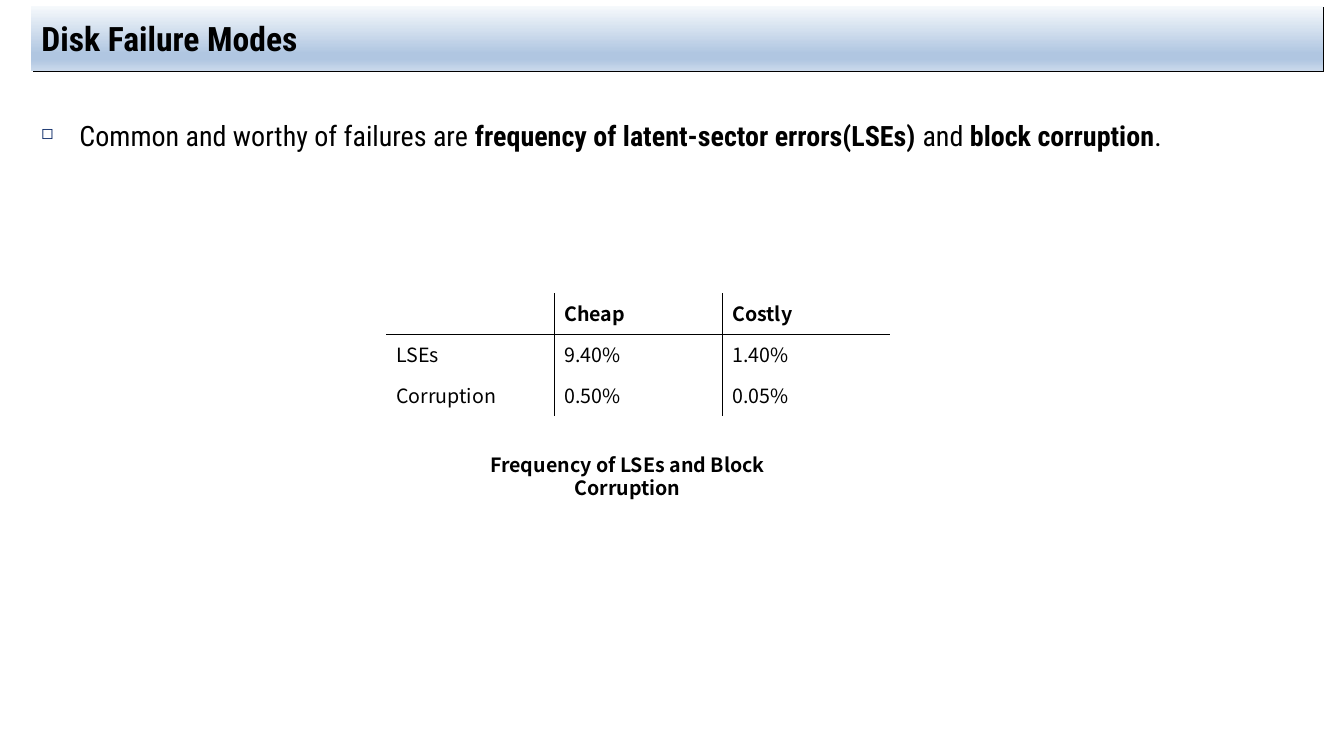
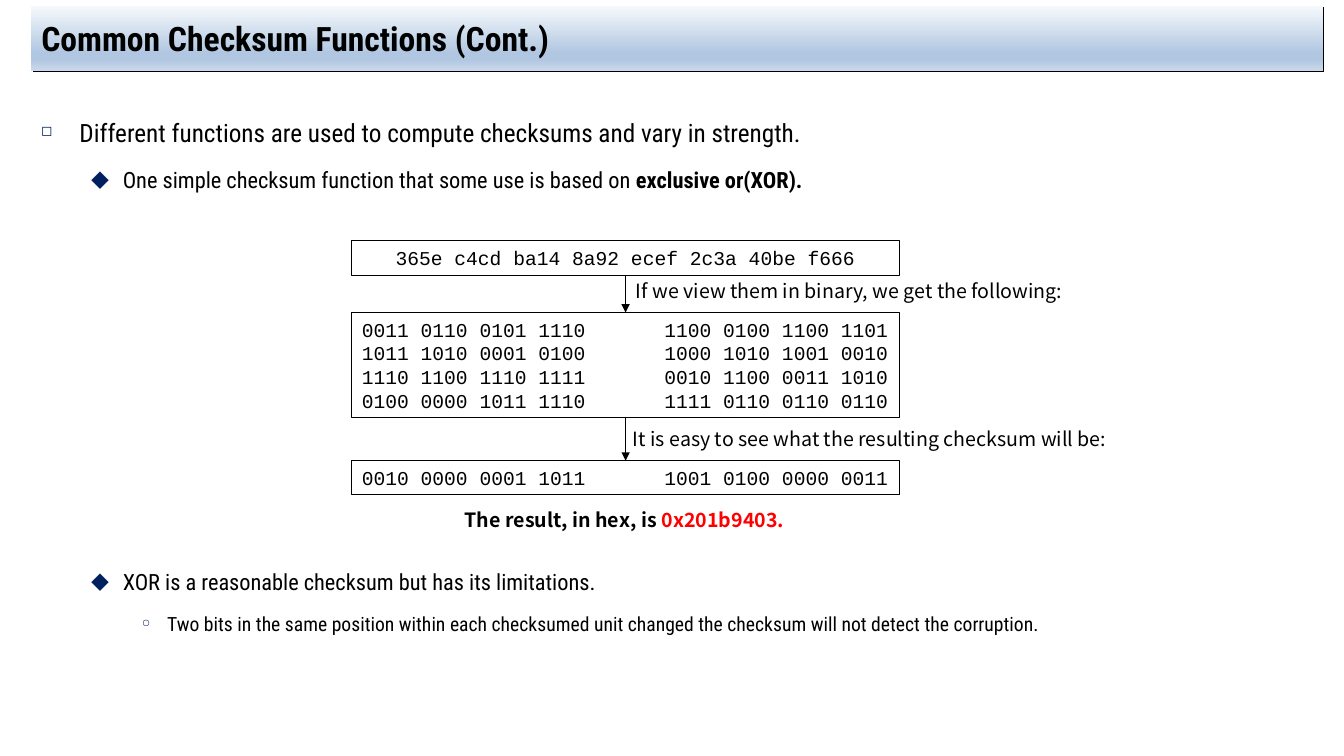
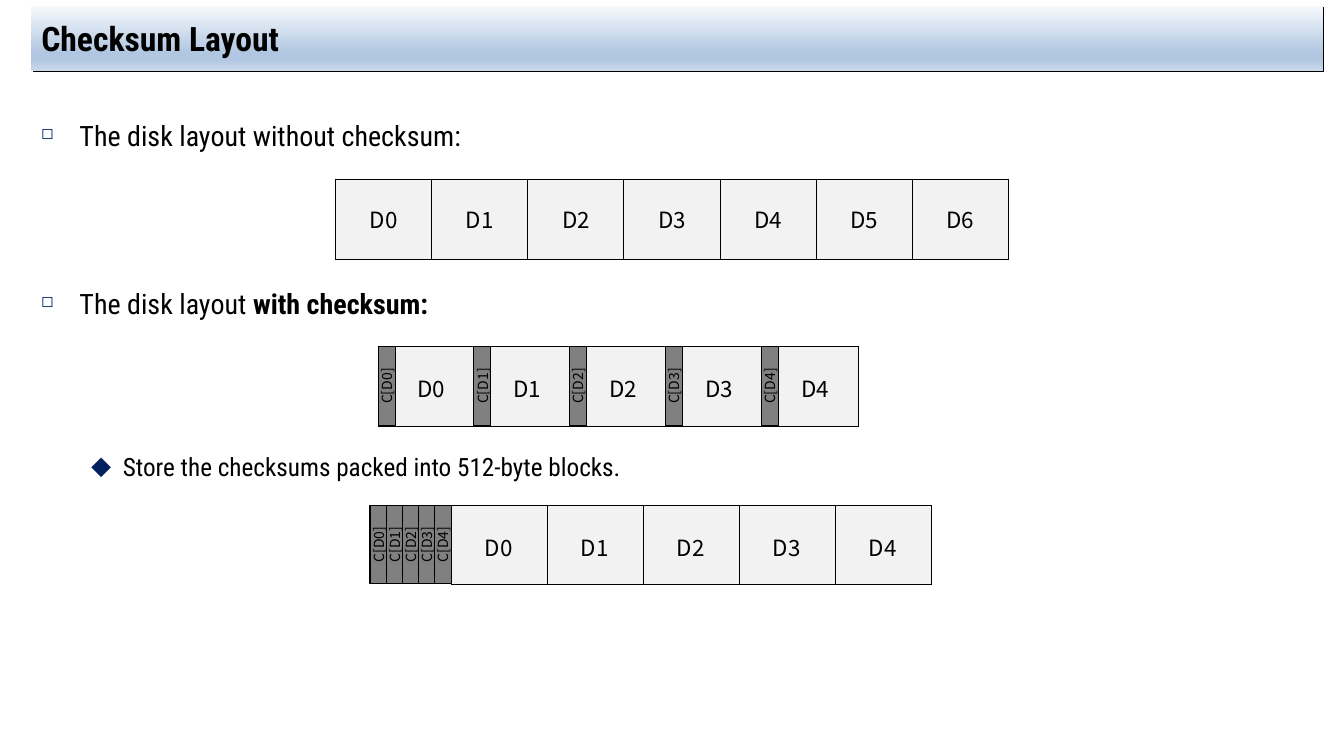
from dataclasses import dataclass, replace

from lxml import etree
from pptx import Presentation
from pptx.dml.color import RGBColor
from pptx.enum.shapes import MSO_CONNECTOR, MSO_SHAPE
from pptx.enum.text import MSO_ANCHOR, MSO_AUTO_SIZE, PP_ALIGN
from pptx.oxml.ns import qn
from pptx.util import Inches, Pt

RECTANGLE = MSO_SHAPE.RECTANGLE
STRAIGHT = MSO_CONNECTOR.STRAIGHT
TOP, MIDDLE = MSO_ANCHOR.TOP, MSO_ANCHOR.MIDDLE
LEFT, CENTER = PP_ALIGN.LEFT, PP_ALIGN.CENTER
FIXED_SIZE = MSO_AUTO_SIZE.NONE
TITLE_ONLY = 5
SITE_TOP, SITE_BOTTOM = 0, 2


@dataclass(frozen=True)
class Box:
    left: float
    top: float
    width: float
    height: float

    def lengths(self):
        return [Inches(value) for value in (self.left, self.top, self.width, self.height)]


@dataclass(frozen=True)
class TextStyle:
    name: str
    size: float
    color: str = "000000"
    bold: bool = False


@dataclass(frozen=True)
class Level:
    indent: float
    hanging: float
    bullet: str
    bullet_percent: int
    bullet_font: str = ""


@dataclass(frozen=True)
class Theme:
    line: str = "000000"
    bullet: str = "002060"
    block: str = "F2F2F2"
    checksum: str = "808080"
    title_stops: tuple = ((0, "F6F9FC"), (74, "B0C6E1"), (83, "B0C6E1"), (100, "CAD9EB"))
    thin: float = 0.75
    arrow: float = 1
    shadow_distance: float = 1.4
    line_spacing: float = 1.5
    space_ratio: float = 0.24
    title: TextStyle = TextStyle("Roboto Condensed", 24, bold=True)
    body: TextStyle = TextStyle("Roboto Condensed", 20)
    label: TextStyle = TextStyle("Noto Sans CJK KR", 14)
    caption: TextStyle = TextStyle("Noto Sans CJK KR", 14, bold=True)
    result: TextStyle = TextStyle("Noto Sans CJK KR", 14, "FF0000", True)
    data: TextStyle = TextStyle("Noto Sans CJK KR", 16)
    tag: TextStyle = TextStyle("Noto Sans CJK KR", 10)
    code: TextStyle = TextStyle("Courier New", 14)
    title_box: Box = Box(0.31, 0.06, 12.81, 0.64)
    body_box: Box = Box(0.31, 0.96, 12.81, 6.02)
    levels: tuple = (
        Level(0.38, 0.38, "◻", 55),
        Level(0.81, 0.31, "◆", 80, "Noto Sans CJK KR"),
        Level(1.25, 0.25, "○", 55),
    )


THEME = Theme()


def apply_format(target, values):
    for name, value in values.items():
        setattr(target, name, value)


def add_node(parent, tag, **attributes):
    values = {name: str(value) for name, value in attributes.items()}
    return etree.SubElement(parent, qn(tag), values)


def add_runs(paragraph, runs, style):
    for item in runs:
        text, run_style = (item, style) if isinstance(item, str) else item
        run = paragraph.add_run()
        run.text = text
        apply_format(run.font, {
            "name": run_style.name,
            "size": Pt(run_style.size),
            "bold": run_style.bold,
        })
        run.font.color.rgb = RGBColor.from_string(run_style.color)


def fill_frame(frame, paragraphs, style, alignment=LEFT, anchor=TOP, margin=None):
    apply_format(frame, {"word_wrap": True, "auto_size": FIXED_SIZE, "vertical_anchor": anchor})
    if margin is not None:
        sides = ("left", "top", "right", "bottom")
        apply_format(frame, {f"margin_{side}": Inches(margin) for side in sides})
    for index, runs in enumerate(paragraphs):
        paragraph = frame.add_paragraph() if index else frame.paragraphs[0]
        paragraph.alignment = alignment
        add_runs(paragraph, runs, style)


def add_label(slide, box, runs, style, alignment=LEFT):
    shape = slide.shapes.add_textbox(*box.lengths())
    fill_frame(shape.text_frame, [runs], style, alignment)


def add_rectangle(slide, box, paragraphs, style, alignment, fill=None, margin=None):
    shape = slide.shapes.add_shape(RECTANGLE, *box.lengths())
    shape.shadow.inherit = False
    if fill:
        shape.fill.solid()
        shape.fill.fore_color.rgb = RGBColor.from_string(fill)
    else:
        shape.fill.background()
    shape.line.color.rgb = RGBColor.from_string(THEME.line)
    shape.line.width = Pt(THEME.thin)
    fill_frame(shape.text_frame, paragraphs, style, alignment, MIDDLE, margin)
    return shape


def add_title(slide, text):
    shape = slide.shapes.title
    names = ("left", "top", "width", "height")
    apply_format(shape, dict(zip(names, THEME.title_box.lengths())))
    fill_frame(shape.text_frame, [[text]], THEME.title, anchor=MIDDLE)
    properties = shape.element.spPr
    gradient = add_node(properties, "a:gradFill", rotWithShape=1)
    stops = add_node(gradient, "a:gsLst")
    for percent, color in THEME.title_stops:
        stop = add_node(stops, "a:gs", pos=percent * 1000)
        add_node(stop, "a:srgbClr", val=color)
    add_node(gradient, "a:lin", ang=90 * 60000, scaled=0)
    effects = add_node(properties, "a:effectLst")
    shadow = add_node(effects, "a:outerShdw", blurRad=0, dist=Pt(THEME.shadow_distance),
                      dir=45 * 60000, algn="tl", rotWithShape=0)
    add_node(shadow, "a:srgbClr", val=THEME.line)


def add_body(slide, box, bullets):
    frame = slide.shapes.add_textbox(*box.lengths()).text_frame
    apply_format(frame, {"word_wrap": True, "auto_size": FIXED_SIZE})
    for index, (depth, size, gap, runs) in enumerate(bullets):
        level = THEME.levels[depth]
        paragraph = frame.add_paragraph() if index else frame.paragraphs[0]
        apply_format(paragraph, {
            "level": depth,
            "alignment": LEFT,
            "line_spacing": THEME.line_spacing,
            "space_before": Pt(size * THEME.space_ratio + gap),
        })
        properties = paragraph._p.get_or_add_pPr()
        properties.set("marL", str(Inches(level.indent)))
        properties.set("indent", str(-Inches(level.hanging)))
        color = add_node(properties, "a:buClr")
        add_node(color, "a:srgbClr", val=THEME.bullet)
        add_node(properties, "a:buSzPct", val=level.bullet_percent * 1000)
        if level.bullet_font:
            add_node(properties, "a:buFont", typeface=level.bullet_font)
        add_node(properties, "a:buChar", char=level.bullet)
        add_runs(paragraph, runs, replace(THEME.body, size=size))


def set_borders(cell, sides):
    properties = cell._tc.get_or_add_tcPr()
    for side in "LRTB":
        border = add_node(properties, f"a:ln{side}", w=Pt(THEME.thin))
        if side in sides:
            fill = add_node(border, "a:solidFill")
            add_node(fill, "a:srgbClr", val=THEME.line)
        else:
            add_node(border, "a:noFill")


def add_plain_table(slide, box, row_count, column_count):
    frame = slide.shapes.add_table(row_count, column_count, *box.lengths())
    table = frame.table
    apply_format(table, {"first_row": False, "horz_banding": False})
    for column in table.columns:
        column.width = Inches(box.width / column_count)
    for row in table.rows:
        row.height = Inches(box.height / row_count)
    return table


def add_frequency_table(slide, box, rows):
    table = add_plain_table(slide, box, len(rows), len(rows[0]))
    for row_index, row in enumerate(rows):
        for column_index, text in enumerate(row):
            cell = table.cell(row_index, column_index)
            sides = "B" if row_index == 0 else "T" if row_index == 1 else ""
            sides += "L" if column_index > 0 else ""
            sides += "R" if column_index < len(row) - 1 else ""
            set_borders(cell, sides)
            cell.fill.background()
            if text:
                style = THEME.label if row_index else THEME.caption
                add_runs(cell.text_frame.paragraphs[0], [text], style)


def add_block_row(slide, box, count, margins=None):
    table = add_plain_table(slide, box, 1, count)
    for index, cell in enumerate(table.iter_cells()):
        set_borders(cell, "LRTB")
        cell.fill.solid()
        cell.fill.fore_color.rgb = RGBColor.from_string(THEME.block)
        cell.vertical_anchor = MIDDLE
        apply_format(cell, margins or {})
        paragraph = cell.text_frame.paragraphs[0]
        paragraph.alignment = CENTER
        add_runs(paragraph, [f"D{index}"], THEME.data)


def add_checksum_tags(slide, box, count, step):
    for index in range(count):
        center = box.left + box.width / 2 + index * step
        middle = box.top + box.height / 2
        tag_box = Box(center - box.height / 2, middle - box.width / 2, box.height, box.width)
        tag = add_rectangle(slide, tag_box, [[f"C[D{index}]"]], THEME.tag, CENTER,
                            THEME.checksum, 0)
        tag.rotation = 270


def add_code_box(slide, box, rows, alignment=LEFT):
    paragraphs = [["\t".join(row)] for row in rows]
    shape = add_rectangle(slide, box, paragraphs, THEME.code, alignment)
    for paragraph in shape.text_frame.paragraphs:
        tabs = add_node(paragraph._p.get_or_add_pPr(), "a:tabLst")
        add_node(tabs, "a:tab", pos=Inches(3), algn="l")
    return shape


def add_arrow(slide, upper, lower):
    connector = slide.shapes.add_connector(STRAIGHT, 0, 0, 0, 0)
    connector.begin_connect(upper, SITE_BOTTOM)
    connector.end_connect(lower, SITE_TOP)
    connector.line.color.rgb = RGBColor.from_string(THEME.line)
    connector.line.width = Pt(THEME.arrow)
    properties = connector._element.spPr
    add_node(properties.find(qn("a:ln")), "a:tailEnd", type="triangle")
    add_node(properties, "a:effectLst")


def add_checksum_flow(slide, box):
    def place(left, top, width, height):
        return Box(box.left + left, box.top + top, width, height)

    source = add_code_box(slide, place(0, 0, box.width, 0.34),
                          [["365e c4cd ba14 8a92 ecef 2c3a 40be f666"]], CENTER)
    binary = add_code_box(slide, place(0, 0.71, box.width, 1.04), [
        ["0011 0110 0101 1110", "1100 0100 1100 1101"],
        ["1011 1010 0001 0100", "1000 1010 1001 0010"],
        ["1110 1100 1110 1111", "0010 1100 0011 1010"],
        ["0100 0000 1011 1110", "1111 0110 0110 0110"],
    ])
    checksum = add_code_box(slide, place(0, 2.18, box.width, 0.34),
                            [["0010 0000 0001 1011", "1001 0100 0000 0011"]])
    for upper, lower in ((source, binary), (binary, checksum)):
        add_arrow(slide, upper, lower)
    add_label(slide, place(2.72, 0.33, 4.8, 0.34),
              ["If we view them in binary, we get the following:"], THEME.label)
    add_label(slide, place(2.69, 1.8, 5.3, 0.34),
              ["It is easy to see what the resulting checksum will be:"], THEME.label)
    add_label(slide, place(1.02, 2.6, 3.6, 0.34),
              ["The result, in hex, is ", ("0x201b9403.", THEME.result)], THEME.caption)


def start_slide(presentation, title, bullets):
    slide = presentation.slides.add_slide(presentation.slide_layouts[TITLE_ONLY])
    add_title(slide, title)
    add_body(slide, THEME.body_box, bullets)
    return slide


def build_failure_modes(presentation):
    bold = replace(THEME.body, bold=True)
    slide = start_slide(presentation, "Disk Failure Modes", [
        (0, 20, 0, [
            "Common and worthy of failures are ",
            ("frequency of latent-sector errors(LSEs) ", bold),
            "and ",
            ("block corruption", bold),
            ".",
        ]),
    ])
    add_frequency_table(slide, Box(3.83, 2.91, 5, 1.22), [
        ["", "Cheap", "Costly"],
        ["LSEs", "9.40%", "1.40%"],
        ["Corruption", "0.50%", "0.05%"],
    ])
    add_label(slide, Box(4.24, 4.44, 3.97, 0.34),
              ["Frequency of LSEs and Block Corruption"], THEME.caption, CENTER)


def build_checksum_functions(presentation):
    bold = replace(THEME.body, size=16, bold=True)
    slide = start_slide(presentation, "Common Checksum Functions (Cont.)", [
        (0, 18, 0, ["Different functions are used to compute checksums and vary in strength."]),
        (1, 16, 0, ["One simple checksum function that some use is based on ",
                    ("exclusive or(XOR).", bold)]),
        (1, 16, 255, ["XOR is a reasonable checksum but has its limitations."]),
        (2, 14, 0, ["Two bits in the same position within each checksumed unit changed "
                    "the checksum will not detect the corruption."]),
    ])
    add_checksum_flow(slide, Box(3.49, 2.39, 5.43, 2.94))


def build_checksum_layout(presentation):
    bold = replace(THEME.body, bold=True)
    slide = start_slide(presentation, "Checksum Layout", [
        (0, 20, 0, ["The disk layout without checksum:"]),
        (0, 20, 79, ["The disk layout ", ("with checksum:", bold)]),
        (1, 18, 79, ["Store the checksums packed into 512-byte blocks."]),
    ])
    margins = {"margin_left": Inches(0.1), "margin_top": Inches(0.08),
               "margin_right": Inches(0), "margin_bottom": Inches(0.05)}
    add_block_row(slide, Box(3.33, 1.78, 6.67, 0.79), 7)
    add_block_row(slide, Box(3.75, 3.44, 4.76, 0.79), 5, margins)
    add_checksum_tags(slide, Box(3.75, 3.44, 0.17, 0.78), 5, 0.95)
    add_block_row(slide, Box(4.48, 5.01, 4.76, 0.79), 5,
                  {**margins, "margin_right": Inches(0.12)})
    add_checksum_tags(slide, Box(3.67, 5.01, 0.17, 0.78), 5, 0.16)


def main():
    presentation = Presentation()
    apply_format(presentation, {"slide_width": Inches(13.33), "slide_height": Inches(7.5)})
    for build in (build_failure_modes, build_checksum_functions, build_checksum_layout):
        build(presentation)
    presentation.save("out.pptx")


if __name__ == "__main__":
    main()
